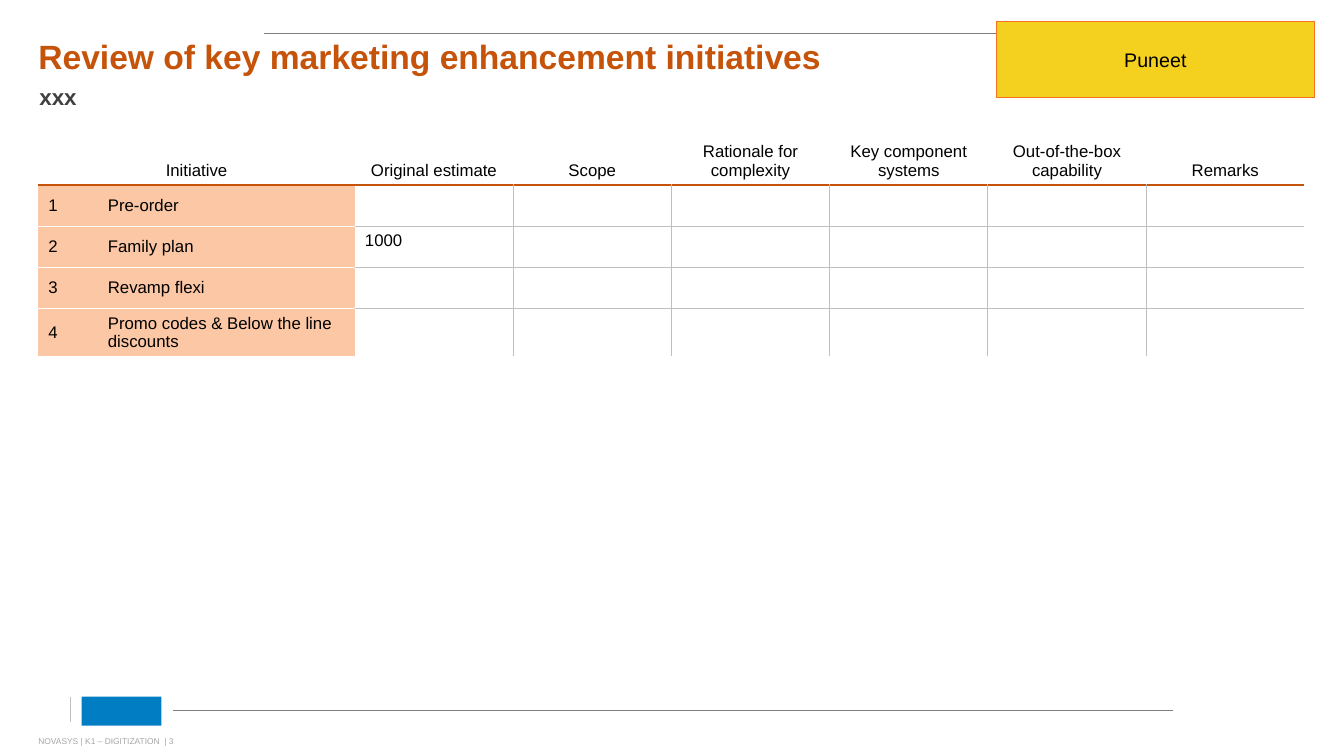
from lxml.etree import SubElement
from pptx import Presentation
from pptx.dml.color import RGBColor
from pptx.enum.shapes import MSO_CONNECTOR, MSO_SHAPE
from pptx.enum.text import MSO_ANCHOR as Anchor, MSO_AUTO_SIZE, PP_ALIGN as Align
from pptx.oxml import parse_xml
from pptx.oxml.ns import nsdecls, qn
from pptx.util import Inches, Pt

COLORS = {
    "accent": "C55309", "subtitle": "404040", "text": "000000", "footer": "A6A6A6",
    "rule": "7F7F7F", "grid": "BFBFBF", "white": "FFFFFF", "label": "FBC7A5",
    "tag": "F5D11F", "tag line": "F5731E", "logo": "007DC3",
}
TITLE = "Review of key marketing enhancement initiatives"
SUBTITLE = "xxx"
OWNER = "Puneet"
FOOTER = "NOVASYS | K1 – DIGITIZATION  | 3"
HEADERS = ["Initiative", "", "Original estimate", "Scope", "Rationale for complexity",
           "Key component systems", "Out-of-the-box capability", "Remarks"]
INITIATIVES = [
    ("Pre-order", ""),
    ("Family plan", "1000"),
    ("Revamp flexi", ""),
    ("Promo codes & Below the line discounts", ""),
]
LABEL_COLUMNS = 2
COLUMN_WIDTHS = [0.59, 2.55] + [1.57] * 6
ROW_HEIGHTS = [0.47, 0.41, 0.41, 0.41, 0.47]
RULES = [  # x1, y1, x2, y2, color
    (1.72, 7.05, 11.63, 7.05, "rule"),
    (2.62, 0.33, 12.96, 0.33, "rule"),
    (0.7, 6.91, 0.7, 7.16, "grid"),
]


def rgb(name):
    return RGBColor.from_string(COLORS[name])


def place(shape, *box):
    for side, value in zip(("left", "top", "width", "height"), box):
        setattr(shape, side, Inches(value))


def write(frame, text, size, color="text", bold=False, align=Align.LEFT, spacing=None):
    paragraph = frame.paragraphs[0]
    paragraph.alignment = align
    paragraph.line_spacing = spacing
    run = paragraph.add_run()
    run.text = text
    for name, value in {"name": "Arial", "size": Pt(size), "bold": bold}.items():
        setattr(run.font, name, value)
    run.font.color.rgb = rgb(color)
    return paragraph


def set_frame(frame, side=0, end=0):
    formats = {
        "word_wrap": True, "auto_size": MSO_AUTO_SIZE.NONE, "vertical_anchor": Anchor.MIDDLE,
        "margin_left": Inches(side), "margin_right": Inches(side),
        "margin_top": Inches(end), "margin_bottom": Inches(end),
    }
    for name, value in formats.items():
        setattr(frame, name, value)


def add_headings(slide):
    title, body = slide.shapes.title, slide.placeholders[1]
    place(title, 0.38, 0.34, 12.58, 0.48)
    place(body, 0.39, 0.83, 12.57, 0.28)
    for placeholder in (title, body):
        set_frame(placeholder.text_frame)
    write(title.text_frame, TITLE, 24, "accent", True, spacing=0.9)
    paragraph = write(body.text_frame, SUBTITLE, 16, "subtitle", True, spacing=0.9)
    paragraph.space_before = Pt(0)
    properties = paragraph._p.get_or_add_pPr()
    properties.set("marL", "0")
    properties.set("indent", "0")
    SubElement(properties, qn("a:buNone"))


def add_rule(slide, x1, y1, x2, y2, color):
    rule = slide.shapes.add_connector(
        MSO_CONNECTOR.STRAIGHT, Inches(x1), Inches(y1), Inches(x2), Inches(y2))
    rule.line.color.rgb = rgb(color)
    rule.line.width = Pt(0.5)
    SubElement(rule._element.spPr, qn("a:effectLst"))


def add_box(slide, box, fill, line=None):
    shape = slide.shapes.add_shape(MSO_SHAPE.RECTANGLE, *map(Inches, box))
    shape.shadow.inherit = False
    shape.fill.solid()
    shape.fill.fore_color.rgb = rgb(fill)
    if line:
        shape.line.color.rgb = rgb(line)
        shape.line.width = Pt(0.75)
    else:
        shape.line.fill.background()
    return shape


def edge_below(row, column):
    """Color and width of the border under a cell, or None."""
    if row == 0:
        return "accent", 1.5
    if 0 < row < len(INITIATIVES):
        return ("white" if column < LABEL_COLUMNS else "grid"), 0.75
    return None


def edge_right(row, column):
    """Color and width of the border to the right of a cell, or None."""
    if row > 0 and LABEL_COLUMNS <= column < len(HEADERS) - 1:
        return "grid", 0.75
    return None


def set_borders(cell, row, column):
    edges = {
        "lnL": edge_right(row, column - 1), "lnR": edge_right(row, column),
        "lnT": edge_below(row - 1, column), "lnB": edge_below(row, column),
    }
    properties = cell._tc.get_or_add_tcPr()
    for position, (tag, edge) in enumerate(edges.items()):
        color, width = edge or (None, 0)
        paint = (f'<a:solidFill><a:srgbClr val="{COLORS[color]}"/></a:solidFill>'
                 if edge else "<a:noFill/>")
        properties.insert(position, parse_xml(
            f'<a:{tag} {nsdecls("a")} w="{Pt(width)}">{paint}</a:{tag}>'))


def add_initiatives(slide):
    rows = [HEADERS]
    for number, (name, estimate) in enumerate(INITIATIVES, 1):
        rows.append([str(number), name, estimate] + [""] * (len(HEADERS) - 3))
    table = slide.shapes.add_table(
        len(rows), len(HEADERS), Inches(0.38), Inches(1.36),
        Inches(sum(COLUMN_WIDTHS)), Inches(sum(ROW_HEIGHTS))).table
    table.first_row = table.horz_banding = False
    for column, width in zip(table.columns, COLUMN_WIDTHS):
        column.width = Inches(width)
    for row, height in zip(table.rows, ROW_HEIGHTS):
        row.height = Inches(height)
    for r, texts in enumerate(rows):
        for c, text in enumerate(texts):
            cell = table.cell(r, c)
            is_label = r > 0 and c < LABEL_COLUMNS
            if is_label:
                cell.fill.solid()
                cell.fill.fore_color.rgb = rgb("label")
                cell.vertical_anchor = Anchor.MIDDLE
            else:
                cell.fill.background()
                cell.vertical_anchor = Anchor.TOP if r else Anchor.BOTTOM
            set_borders(cell, r, c)
            if text:
                write(cell.text_frame, text, 12, align=Align.LEFT if r else Align.CENTER)
    table.cell(0, 0).merge(table.cell(0, LABEL_COLUMNS - 1))


def main():
    presentation = Presentation()
    presentation.slide_width, presentation.slide_height = Inches(13.33), Inches(7.5)
    slide = presentation.slides.add_slide(presentation.slide_layouts[1])
    add_headings(slide)
    for rule in RULES:
        add_rule(slide, *rule)
    add_box(slide, (0.81, 6.91, 0.79, 0.29), "logo")
    footer = slide.shapes.add_textbox(*map(Inches, (0.38, 7.2, 2.31, 0.3)))
    set_frame(footer.text_frame, end=0.05)
    write(footer.text_frame, FOOTER, 6, "footer")
    add_initiatives(slide)
    owner = add_box(slide, (9.88, 0.21, 3.16, 0.76), "tag", "tag line")
    set_frame(owner.text_frame, 0.1, 0.05)
    write(owner.text_frame, OWNER, 14, align=Align.CENTER)
    presentation.save("out.pptx")


if __name__ == "__main__":
    main()
